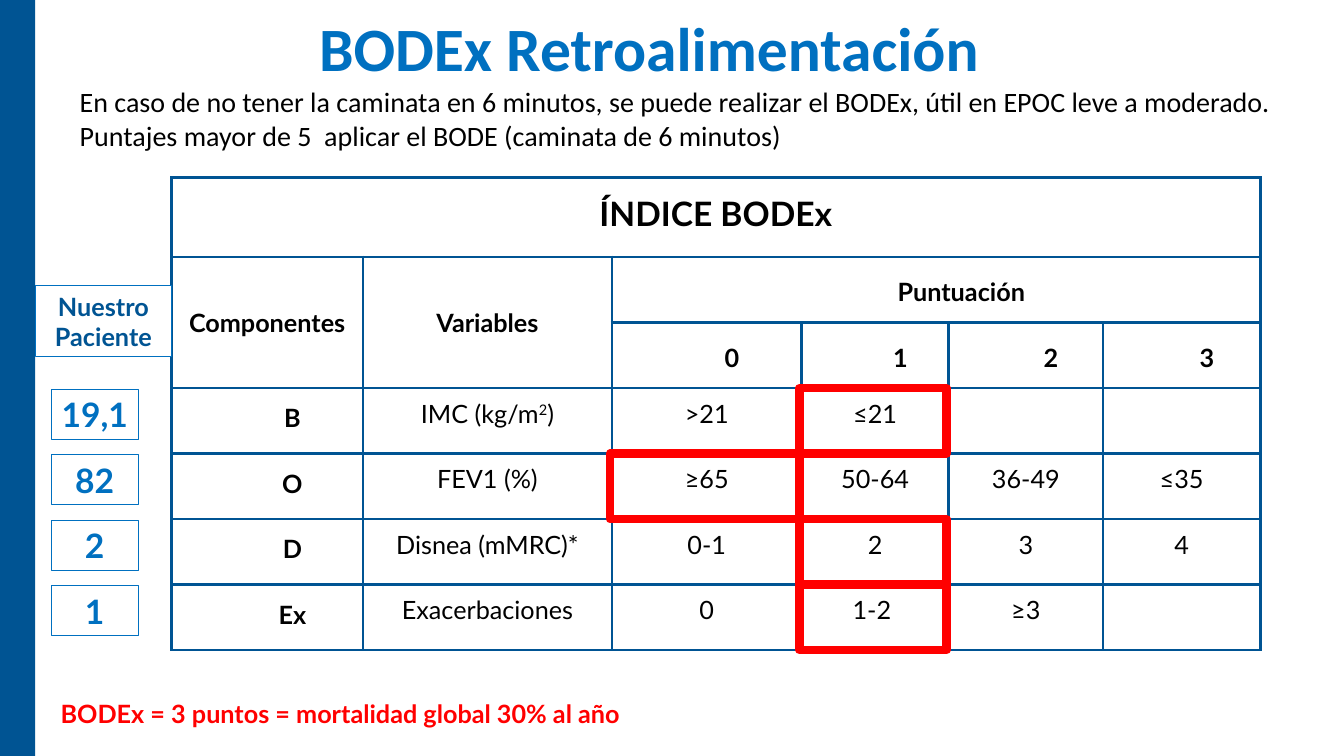
import pptx
import pptx.util
import pptx.dml.color
import pptx.enum.shapes
import pptx.enum.text
import pptx.oxml
import pptx.oxml.ns
from dataclasses import dataclass


@dataclass
class Theme:
    navy: str = "005493"
    blue: str = "0070C0"
    red: str = "FF0000"
    black: str = "000000"
    white: str = "FFFFFF"
    title: int = 44
    head: int = 24
    lead: int = 20
    body: int = 18
    sans: str = "Lato"
    plain: str = "Calibri"


theme = Theme()
Inches = pptx.util.Inches
Pt = pptx.util.Pt
Color = pptx.dml.color.RGBColor.from_string
Align = pptx.enum.text.PP_ALIGN
Anchor = pptx.enum.text.MSO_ANCHOR


def write(frame, text, size, color, bold=True, font=theme.sans, align=Align.CENTER):
    para = frame.paragraphs[0]
    parts = text.split("^")
    para.text = parts[0]
    for part in parts[1:]:
        para.add_run().text = part
    para.alignment = align
    for i, run in enumerate(para.runs):
        run.font.size = Pt(size)
        run.font.name = font
        run.font.bold = bold
        run.font.color.rgb = Color(color)
        if i % 2:
            run._r.get_or_add_rPr().set("baseline", "30000")
    return para


def box(left, top, width, height, fill=None, line=None, weight=0.75):
    shape = slide.shapes.add_shape(
        pptx.enum.shapes.MSO_SHAPE.RECTANGLE,
        Inches(left), Inches(top), Inches(width), Inches(height))
    shape.shadow.inherit = False
    if fill:
        shape.fill.solid()
        shape.fill.fore_color.rgb = Color(fill)
    else:
        shape.fill.background()
    if line:
        shape.line.color.rgb = Color(line)
        shape.line.width = Pt(weight)
    else:
        shape.line.fill.background()
    return shape


deck = pptx.Presentation()
deck.slide_width, deck.slide_height = Inches(13.33), Inches(7.5)
slide = deck.slides.add_slide(deck.slide_layouts[1])
box(0, 0, 0.35, 7.5, theme.navy)

title, lead = slide.shapes.title, slide.placeholders[1]
for hold, top, wide, high, side in ((title, 0.26, 11.5, 0.51, 0.05), (lead, 0.74, 12.14, 0.62, 0.1)):
    hold.left, hold.top, hold.width, hold.height = map(Inches, (0.69, top, wide, high))
    frame = hold.text_frame
    frame.word_wrap = True
    frame.auto_size = pptx.enum.text.MSO_AUTO_SIZE.NONE
    frame.margin_top = frame.margin_bottom = Inches(side)
title.text_frame.vertical_anchor = Anchor.MIDDLE
lead.text_frame.vertical_anchor = Anchor.TOP
para = write(title.text_frame, "BODEx Retroalimentación", theme.title, theme.blue, font=theme.plain)
para.line_spacing = 0.9
para = write(
    lead.text_frame,
    "En caso de no tener la caminata en 6 minutos, se puede realizar el BODEx, útil en EPOC leve a moderado.  "
    "Puntajes mayor de 5  aplicar el BODE (caminata de 6 minutos)",
    theme.lead, theme.black, False, theme.plain, Align.LEFT)
para.space_before = Pt(0)
props = para._p.get_or_add_pPr()
props.set("marL", "0")
props.set("indent", "0")
props.append(pptx.oxml.parse_xml(f'<a:buNone {pptx.oxml.ns.nsdecls("a")}/>'))

left, top, first, step = 1.7, 1.76, 0.79, 0.65
wide = [1.9, 2.47, 1.88, 1.46, 1.53, 1.56]
rows = [
    ["ÍNDICE BODEx", "", "", "", "", ""],
    ["Componentes", "Variables", "Puntuación", "", "", ""],
    ["", "", "0", "1", "2", "3"],
    ["B", "IMC (kg/m^2^)", ">21", "≤21", "", ""],
    ["O", "FEV1 (%)", "≥65", "50-64", "36-49", "≤35"],
    ["D", "Disnea (mMRC)*", "0-1", "2", "3", "4"],
    ["Ex", "Exacerbaciones", "0", "1-2 ", "≥3", ""],
]
table = slide.shapes.add_table(
    len(rows), len(wide), Inches(left), Inches(top),
    Inches(sum(wide)), Inches(first + 6 * step)).table
table.first_row = table.horz_banding = False
for c, width in enumerate(wide):
    table.columns[c].width = Inches(width)
for r, row in enumerate(rows):
    table.rows[r].height = Inches(step if r else first)
    for c, text in enumerate(row):
        cell = table.cell(r, c)
        cell.margin_left = cell.margin_right = Inches(0.07)
        cell.margin_top = cell.margin_bottom = Inches(0.1)
        cell.vertical_anchor = Anchor.MIDDLE if r in (1, 2) else Anchor.TOP
        for side in "LRTB":
            cell._tc.get_or_add_tcPr().append(pptx.oxml.parse_xml(
                f'<a:ln{side} {pptx.oxml.ns.nsdecls("a")} w="{Pt(2.25)}"><a:solidFill>'
                f'<a:srgbClr val="{theme.navy}"/></a:solidFill></a:ln{side}>'))
        cell.fill.background()
        if text:
            para = write(cell.text_frame, text, theme.body if r else theme.head,
                         theme.black, r < 3 or c == 0)
            inset = (r in (1, 2) and c > 1) or (r > 2 and c == 0)
            if inset:
                para._p.get_or_add_pPr().set("marL", str(Inches(0.5)))
            if inset or r == 0:
                para.line_spacing = 1.15
for r, c, low, end in ((0, 0, 0, 5), (1, 0, 2, 0), (1, 1, 2, 1), (1, 2, 1, 5)):
    table.cell(r, c).merge(table.cell(max(r, low), end))

base = top + first + 2 * step
for i, (mark, hit) in enumerate((("19,1", 3), ("82", 2), ("2", 3), ("1", 3))):
    y = base + i * step
    tag = box(0.51, y + 0.01, 0.86, 0.5, theme.white, theme.blue)
    tag.text_frame.margin_left = tag.text_frame.margin_right = Inches(0.05)
    write(tag.text_frame, mark, theme.head, theme.blue)
    box(left + sum(wide[:hit]) - 0.02, y, wide[hit], step, None, theme.red, 6)

note = slide.shapes.add_textbox(Inches(0.28), Inches(6.88), Inches(6.25), Inches(0.4))
write(note.text_frame, "BODEx = 3 puntos = mortalidad global 30% al año ", theme.body, theme.red)
label = box(0.35, 2.83, 1.35, 0.71, theme.white, theme.blue)
write(label.text_frame, "Nuestro Paciente", theme.body, theme.navy)

deck.save("out.pptx")
